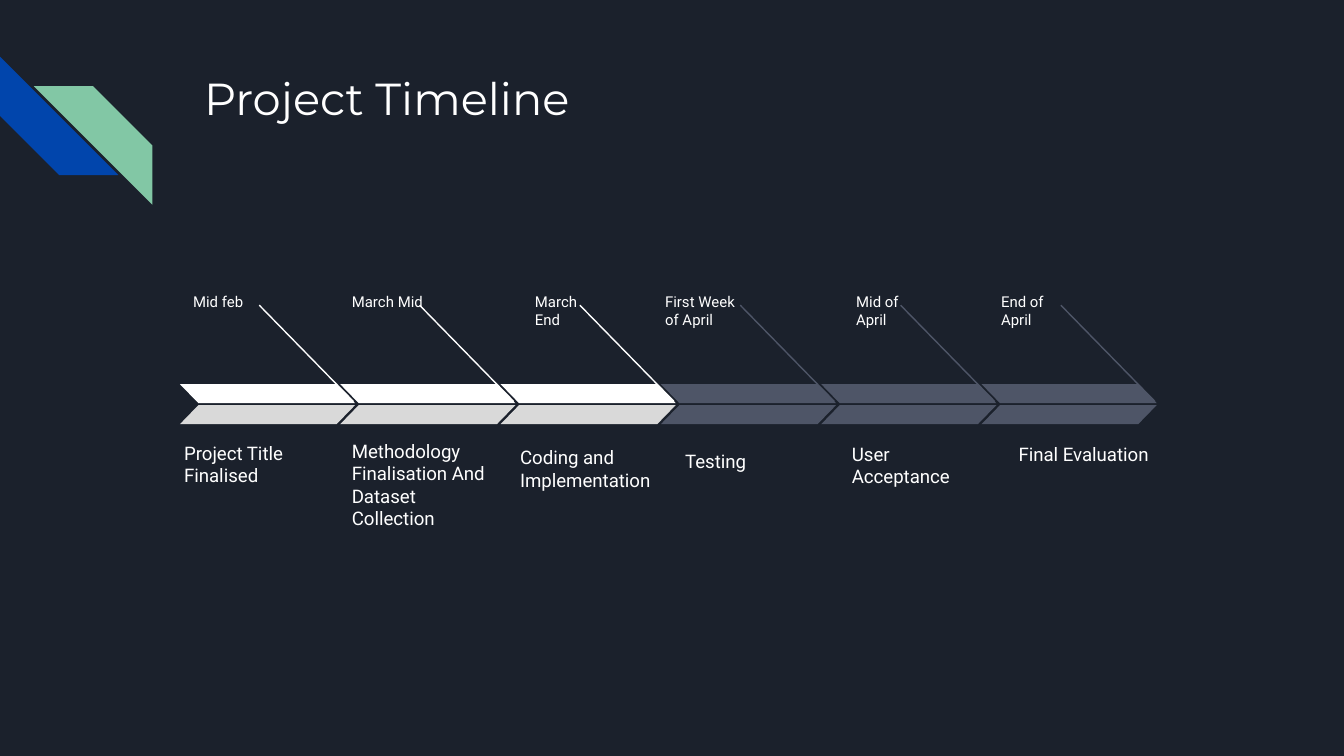
import pptx
import pptx.dml.color
import pptx.enum.shapes
import pptx.enum.text
import pptx.oxml.ns
import pptx.util
from lxml import etree

Cm = pptx.util.Cm
Shape = pptx.enum.shapes.MSO_SHAPE
Anchor = pptx.enum.text.MSO_ANCHOR

BACKGROUND, WHITE, GREY, SLATE = "1B212C", "FFFFFF", "D9D9D9", "4E5567"
BLUE, GREEN = "0145AC", "82C7A5"


def color(hex_string):
    return pptx.dml.color.RGBColor.from_string(hex_string)


def write(frame, text, size=10, font="Roboto", fill=WHITE, anchor=Anchor.TOP):
    frame.word_wrap = True
    frame.auto_size = pptx.enum.text.MSO_AUTO_SIZE.NONE
    frame.vertical_anchor = anchor
    frame.margin_left = frame.margin_right = Cm(0.25)
    frame.margin_top = frame.margin_bottom = Cm(0.25)
    paragraph = frame.paragraphs[0]
    paragraph.alignment = pptx.enum.text.PP_ALIGN.LEFT
    run = paragraph.add_run()
    run.text = text
    run.font.size = pptx.util.Pt(size)
    run.font.name = font
    run.font.color.rgb = color(fill)


class TimelineSlide:
    def __init__(self, presentation):
        self.slide = presentation.slides.add_slide(presentation.slide_layouts[5])
        self.shapes = self.slide.shapes
        self.slide.background.fill.solid()
        self.slide.background.fill.fore_color.rgb = color(BACKGROUND)

    def title(self, text, left, top, width, height):
        heading = self.shapes.title
        heading.left, heading.top = Cm(left), Cm(top)
        heading.width, heading.height = Cm(width), Cm(height)
        write(heading.text_frame, text, size=24, font="Montserrat")

    def text(self, text, left, top, width, height, **style):
        box = self.shapes.add_textbox(Cm(left), Cm(top), Cm(width), Cm(height))
        write(box.text_frame, text, **style)

    def shape(self, kind, left, top, width, height, fill, adjust, flip=False, rotation=0):
        shape = self.shapes.add_shape(kind, Cm(left), Cm(top), Cm(width), Cm(height))
        shape.shadow.inherit = False
        shape.fill.solid()
        shape.fill.fore_color.rgb = color(fill)
        shape.line.fill.background()
        shape.adjustments[0] = adjust
        shape.rotation = rotation
        if flip:
            shape._element.spPr.xfrm.set("flipH", "1")

    def line(self, x1, y1, x2, y2, stroke):
        line = self.shapes.add_connector(
            pptx.enum.shapes.MSO_CONNECTOR.STRAIGHT, Cm(x1), Cm(y1), Cm(x2), Cm(y2))
        line.line.color.rgb = color(stroke)
        line.line.width = pptx.util.Pt(0.75)
        etree.SubElement(line._element.spPr, pptx.oxml.ns.qn("a:effectLst"))


# Each stage: date, its left and width; task, its left, top and height; done
STAGES = [
    ("Mid feb", 3.4, 1.78, "Project Title Finalised", 3.23, 8.05, 1.4, True),
    ("March Mid", 6.4, 1.93, "Methodology Finalisation And Dataset Collection",
     6.4, 8.05, 2.21, True),
    ("March End", 9.86, 1.5, "Coding and Implementation", 9.58, 8.41, 1.12, True),
    ("First Week of April", 12.32, 2.08, "Testing", 12.7, 8.05, 1.12, False),
    ("Mid of April", 15.93, 1.5, "User Acceptance", 15.85, 8.05, 1.42, False),
    ("End of April", 18.67, 1.78, "Final Evaluation", 19, 8.05, 0.99, False),
]
FIRST_ARROW, PITCH = 3.4, 3.03


def main():
    presentation = pptx.Presentation()
    presentation.slide_width, presentation.slide_height = Cm(25.4), Cm(14.29)
    timeline = TimelineSlide(presentation)

    # Corner stripes and title
    timeline.shape(Shape.DIAGONAL_STRIPE, 0, 1.07, 2.24, 2.24, BLUE, 0.5, rotation=270)
    timeline.shape(Shape.DIAGONAL_STRIPE, 0.64, 1.63, 2.24, 2.24, GREEN, 0.5, flip=True)
    timeline.title("Project Timeline", 3.61, 1.09, 19.56, 2.54)

    for number, stage in enumerate(STAGES):
        date, date_left, date_width, task, task_left, task_top, task_height, done = stage
        upper, lower = (WHITE, GREY) if done else (SLATE, SLATE)
        arrow = FIRST_ARROW + number * PITCH

        # Date above, task below
        timeline.text(date, date_left, 5.28, date_width, 0.58, size=8)
        timeline.text(task, task_left, task_top, 3.14, task_height, anchor=Anchor.BOTTOM)

        # Pointer line and the two halves of the arrow
        timeline.line(arrow + 1.5, 5.77, arrow + 3.28, 7.59, upper)
        timeline.shape(Shape.PARALLELOGRAM, arrow, 7.26, 3.31, 0.36, upper, 0.97, flip=True)
        timeline.shape(Shape.PARALLELOGRAM, arrow, 7.66, 3.31, 0.36, lower, 0.97)

    presentation.save("out.pptx")


if __name__ == "__main__":
    main()
